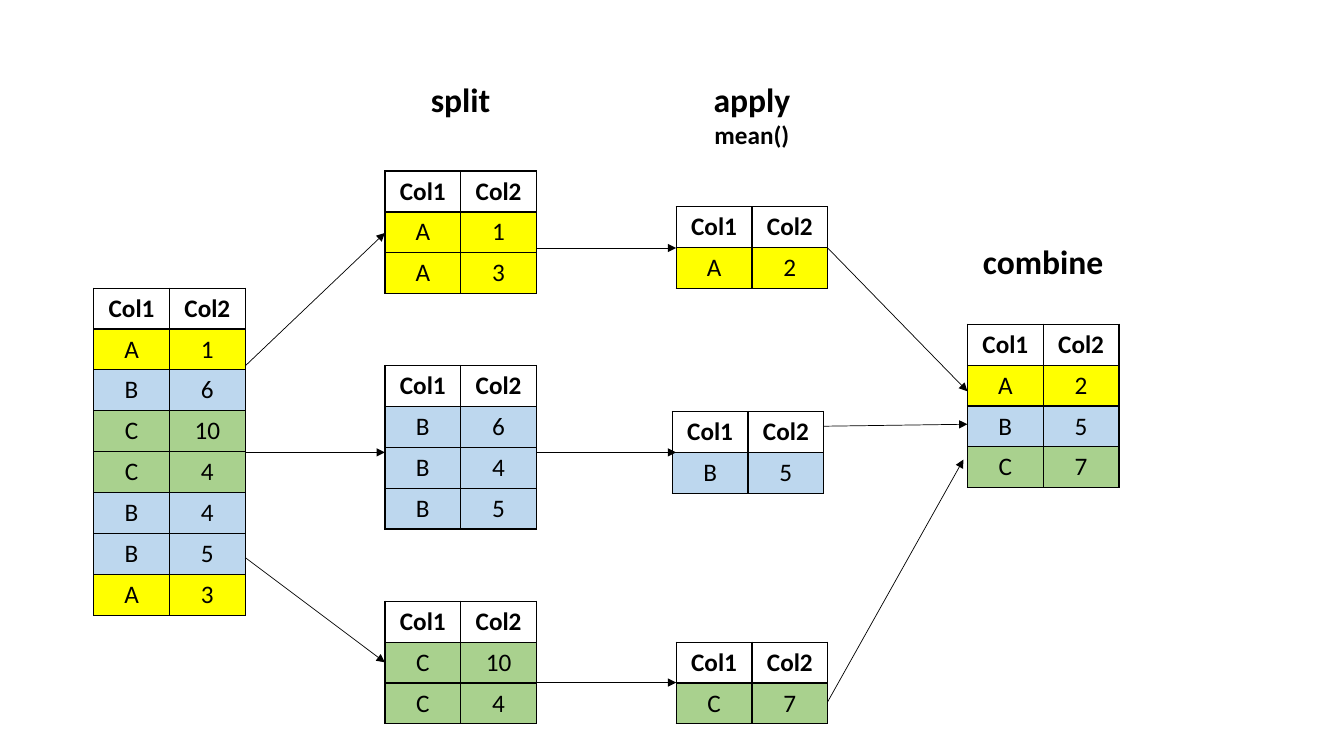
from typing import NamedTuple

from lxml import etree
from pptx import Presentation
from pptx.dml.color import RGBColor
from pptx.enum.shapes import MSO_CONNECTOR
from pptx.enum.text import MSO_AUTO_SIZE, PP_ALIGN
from pptx.oxml.ns import qn
from pptx.util import Cm, Pt

STRAIGHT = MSO_CONNECTOR.STRAIGHT
CENTER = PP_ALIGN.CENTER
GROW = MSO_AUTO_SIZE.SHAPE_TO_FIT_TEXT

COLORS = {"ink": "000000", "A": "FFFF00", "B": "BDD7EE", "C": "A9D18E"}
FONT = "Calibri"
COL_W, ROW_H = 1.91, 1.03
TABLE_W = 2 * COL_W
SOURCE, SPLIT, APPLY, COMBINE = (2.36 + 7.34 * i for i in range(4))
APPLY_B = APPLY - 0.1
HEADER = ("Col1", "Col2")


class DataTable(NamedTuple):
    left: float
    top: float
    records: str


class Arrow(NamedTuple):
    x1: float
    y1: float
    x2: float
    y2: float


class Heading(NamedTuple):
    left: float
    top: float
    height: float
    lines: tuple


TABLES = (
    DataTable(SOURCE, 7.26, "A1 B6 C10 C4 B4 B5 A3"),
    DataTable(SPLIT, 4.31, "A1 A3"),
    DataTable(SPLIT, 9.21, "B6 B4 B5"),
    DataTable(SPLIT, 15.15, "C10 C4"),
    DataTable(APPLY, 5.21, "A2"),
    DataTable(APPLY_B, 10.37, "B5"),
    DataTable(APPLY, 16.18, "C7"),
    DataTable(COMBINE, 8.17, "A2 B5 C7"),
)
ARROWS = (
    Arrow(SOURCE + TABLE_W, 9.22, SPLIT, 5.87),
    Arrow(SOURCE + TABLE_W, 11.4, SPLIT, 11.4),
    Arrow(SOURCE + TABLE_W, 14.05, SPLIT, 16.69),
    Arrow(SPLIT + TABLE_W, 6.25, APPLY, 6.25),
    Arrow(SPLIT + TABLE_W, 11.4, APPLY, 11.4),
    Arrow(SPLIT + TABLE_W, 17.2, APPLY, 17.2),
    Arrow(APPLY + TABLE_W, 6.25, COMBINE, 9.86),
    Arrow(APPLY_B + TABLE_W, 10.74, COMBINE, 10.69),
    Arrow(APPLY + TABLE_W, 17.68, COMBINE - 0.1, 11.58),
)
HEADINGS = (
    Heading(SPLIT, 1.86, 1.28, (("split", 24),)),
    Heading(APPLY, 1.87, 2.06, (("apply", 24), ("mean()", 18))),
    Heading(COMBINE, 5.94, 1.28, (("combine", 24),)),
)


def rgb(name: str) -> RGBColor:
    return RGBColor.from_string(COLORS[name])


def write(p, text: str, size: int, bold: bool) -> None:
    p.alignment = CENTER
    r = p.add_run()
    r.text = text
    for name, value in {"name": FONT, "size": Pt(size), "bold": bold}.items():
        setattr(r.font, name, value)
    r.font.color.rgb = rgb("ink")


def add_borders(tc) -> None:
    tc_pr = tc.get_or_add_tcPr()
    for side in ("lnL", "lnR", "lnT", "lnB"):
        ln = etree.SubElement(tc_pr, qn(f"a:{side}"), w=str(Pt(1)))
        fill = etree.SubElement(ln, qn("a:solidFill"))
        etree.SubElement(fill, qn("a:srgbClr"), val=COLORS["ink"])


def add_data_table(shapes, spec: DataTable) -> None:
    rows = [HEADER] + [(s[0], s[1:]) for s in spec.records.split()]
    frame = shapes.add_table(len(rows), 2, Cm(spec.left), Cm(spec.top),
                             Cm(TABLE_W), Cm(ROW_H * len(rows)))
    table = frame.table
    table.first_row = table.horz_banding = False
    for col in table.columns:
        col.width = Cm(COL_W)
    for row in table.rows:
        row.height = Cm(ROW_H)
    for tc in frame.element.iter(qn("a:tc")):
        add_borders(tc)
    for row, values in zip(table.rows, rows):
        is_header = values == HEADER
        for cell, value in zip(row.cells, values):
            write(cell.text_frame.paragraphs[0], value, 18, is_header)
            if is_header:
                cell.fill.background()
            else:
                cell.fill.solid()
                cell.fill.fore_color.rgb = rgb(values[0])


def add_arrow(shapes, arrow: Arrow) -> None:
    sp = shapes.add_connector(STRAIGHT, *(Cm(v) for v in arrow))
    sp.line.width = Pt(0.5)
    sp.line.color.rgb = rgb("ink")
    sp_pr = sp.element.spPr
    etree.SubElement(sp_pr.find(qn("a:ln")), qn("a:tailEnd"), type="triangle")
    etree.SubElement(sp_pr, qn("a:effectLst"))


def add_heading(shapes, heading: Heading) -> None:
    sp = shapes.add_textbox(Cm(heading.left), Cm(heading.top),
                            Cm(TABLE_W), Cm(heading.height))
    tf = sp.text_frame
    for name, value in {"word_wrap": True, "auto_size": GROW}.items():
        setattr(tf, name, value)
    for i, (text, size) in enumerate(heading.lines):
        p = tf.add_paragraph() if i else tf.paragraphs[0]
        write(p, text, size, True)


prs = Presentation()
prs.slide_width, prs.slide_height = Cm(33.87), Cm(19.05)
shapes = prs.slides.add_slide(prs.slide_layouts[6]).shapes
for data_table in TABLES:
    add_data_table(shapes, data_table)
for arrow in ARROWS:
    add_arrow(shapes, arrow)
for heading in HEADINGS:
    add_heading(shapes, heading)
prs.save("out.pptx")
